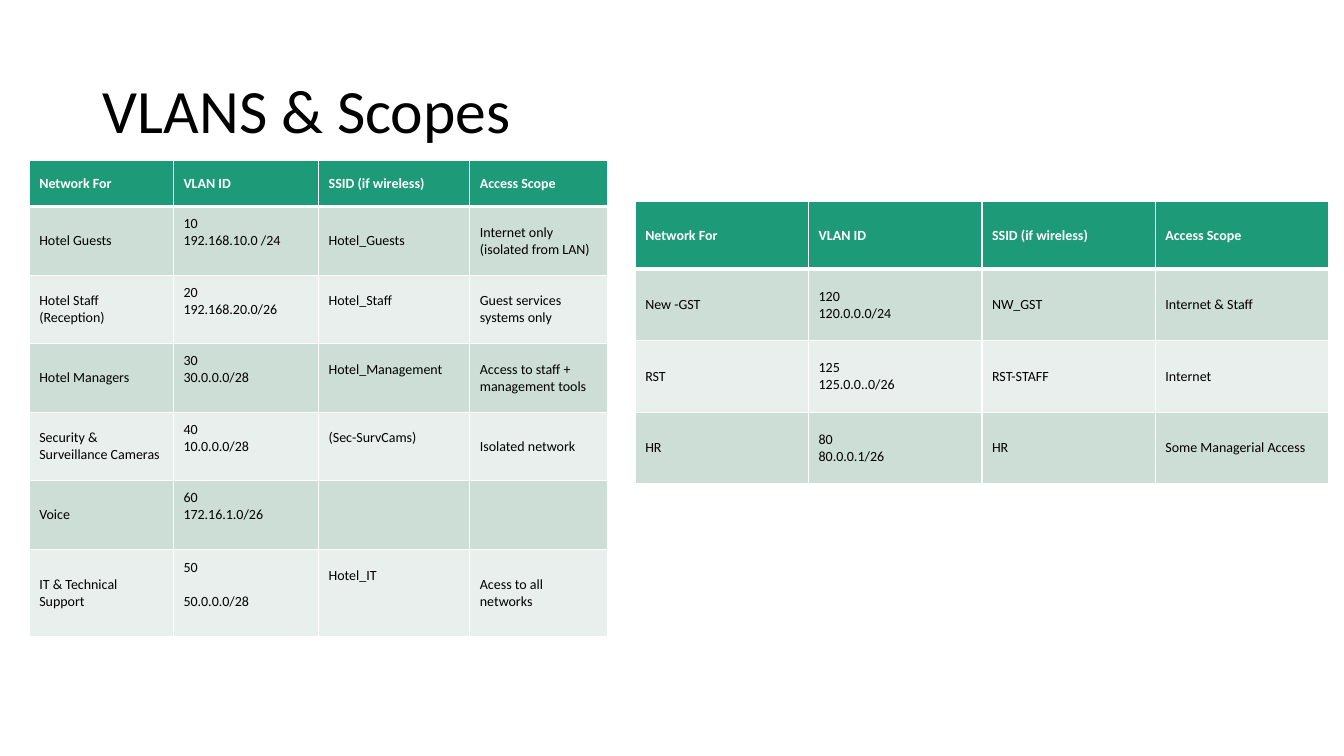
"""Build the VLANS & Scopes slide with its two network tables."""
from dataclasses import dataclass

import pptx
import pptx.dml.color
import pptx.enum.text
import pptx.oxml.ns
import pptx.util
from lxml import etree
from pptx.util import Inches


@dataclass(frozen=True)
class Theme:
    """Colours, font and type sizes of the slide."""
    font: str = "Calibri"
    title_size: int = 44
    cell_size: int = 10
    ink: str = "000000"
    white: str = "FFFFFF"
    header: str = "1D9A78"
    bands: tuple = ("CDDED6", "E8EFEC")
    rule: int = 1
    header_rule: int = 3


THEME = Theme()
LINE_HEIGHT = 0.17
HEADINGS = ("Network For", "VLAN ID", "SSID (if wireless)", "Access Scope")
HOTEL_NETWORKS = (
    ("Hotel Guests", "10\n192.168.10.0 /24", "Hotel_Guests", "Internet only (isolated from LAN)"),
    ("Hotel Staff (Reception)", "20\n192.168.20.0/26", "Hotel_Staff", "Guest services systems only"),
    ("Hotel Managers", "30\n30.0.0.0/28", "Hotel_Management", "Access to staff + management tools"),
    ("Security & Surveillance Cameras", "40\n10.0.0.0/28", "(Sec-SurvCams)", "Isolated network"),
    ("Voice", "60\n172.16.1.0/26", "", ""),
    ("IT & Technical Support", "50\n50.0.0.0/28", "Hotel_IT", "Acess to all networks"),
)
NEW_NETWORKS = (
    ("New -GST", "120\n120.0.0.0/24", "NW_GST", "Internet & Staff"),
    ("RST", "125\n125.0.0..0/26", "RST-STAFF", "Internet"),
    ("HR", "80\n80.0.0.1/26", "HR", "Some Managerial Access"),
)
HOTEL_RAISED_LINES = {(row, 1): 1 for row in range(1, 7)} | {
    (2, 2): 1, (3, 2): 1, (4, 2): 1, (6, 2): 2}


def add_run(paragraph, wording, size, color, bold=False):
    """Add one formatted run to a paragraph."""
    run = paragraph.add_run()
    run.text = wording
    run.font.name = THEME.font
    run.font.size = pptx.util.Pt(size)
    run.font.bold = bold
    run.font.color.rgb = pptx.dml.color.RGBColor.from_string(color)


def add_title(slide, wording):
    """Place and format the slide title."""
    title = slide.shapes.title
    title.left, title.top = Inches(0.92), Inches(0.4)
    title.width, title.height = Inches(11.5), Inches(1.45)
    title.text_frame.vertical_anchor = pptx.enum.text.MSO_ANCHOR.MIDDLE
    paragraph = title.text_frame.paragraphs[0]
    paragraph.alignment = pptx.enum.text.PP_ALIGN.LEFT
    paragraph.line_spacing = 0.9
    add_run(paragraph, wording, THEME.title_size, THEME.ink)


def rule_cell(cell, row):
    """Draw white cell borders, thicker below the header row."""
    qn = pptx.oxml.ns.qn
    properties = cell._tc.get_or_add_tcPr()
    for side in "LRTB":
        below_header = (row, side) in ((0, "B"), (1, "T"))
        width = THEME.header_rule if below_header else THEME.rule
        border = etree.SubElement(properties, qn(f"a:ln{side}"), w=str(pptx.util.Pt(width)))
        fill = etree.SubElement(border, qn("a:solidFill"))
        etree.SubElement(fill, qn("a:srgbClr"), val=THEME.white)


def fill_cell(cell, row, wording, raised_lines):
    """Style one table cell and write its lines, raised by the given line count."""
    is_header = row == 0
    rule_cell(cell, row)
    cell.fill.solid()
    band = THEME.header if is_header else THEME.bands[(row - 1) % 2]
    cell.fill.fore_color.rgb = pptx.dml.color.RGBColor.from_string(band)
    cell.vertical_anchor = pptx.enum.text.MSO_ANCHOR.MIDDLE
    cell.margin_bottom = Inches(0.05 + raised_lines * LINE_HEIGHT)
    frame = cell.text_frame
    for index, line in enumerate(wording.split("\n")):
        paragraph = frame.add_paragraph() if index else frame.paragraphs[0]
        add_run(paragraph, line, THEME.cell_size,
                THEME.white if is_header else THEME.ink, is_header)


def add_network_table(slide, left, top, widths, heights, networks, raised=None):
    """Add a network table with a header row and banded body rows."""
    records = (HEADINGS, *networks)
    table = slide.shapes.add_table(
        len(records), len(HEADINGS), Inches(left), Inches(top),
        Inches(sum(widths)), Inches(sum(heights))).table
    for column, width in zip(table.columns, widths):
        column.width = Inches(width)
    for row, record in enumerate(records):
        table.rows[row].height = Inches(heights[row])
        for column, wording in enumerate(record):
            fill_cell(table.cell(row, column), row, wording,
                      (raised or {}).get((row, column), 0))
    return table


def main():
    """Build and save the slide."""
    deck = pptx.Presentation()
    deck.slide_width, deck.slide_height = Inches(13.33), Inches(7.5)
    slide = deck.slides.add_slide(deck.slide_layouts[5])
    add_title(slide, "VLANS & Scopes")
    hotel = add_network_table(
        slide, 0.29, 1.59, (1.43, 1.44, 1.5, 1.37), (0.46, *[0.68] * 5, 0.87),
        HOTEL_NETWORKS, HOTEL_RAISED_LINES)
    support_range = hotel.cell(6, 1).text_frame.paragraphs[1]
    support_range.space_before = pptx.util.Pt(12)
    add_network_table(slide, 6.3, 2, [1.72] * 4, (0.67, *[0.71] * 3), NEW_NETWORKS)
    deck.save("out.pptx")


if __name__ == "__main__":
    main()
